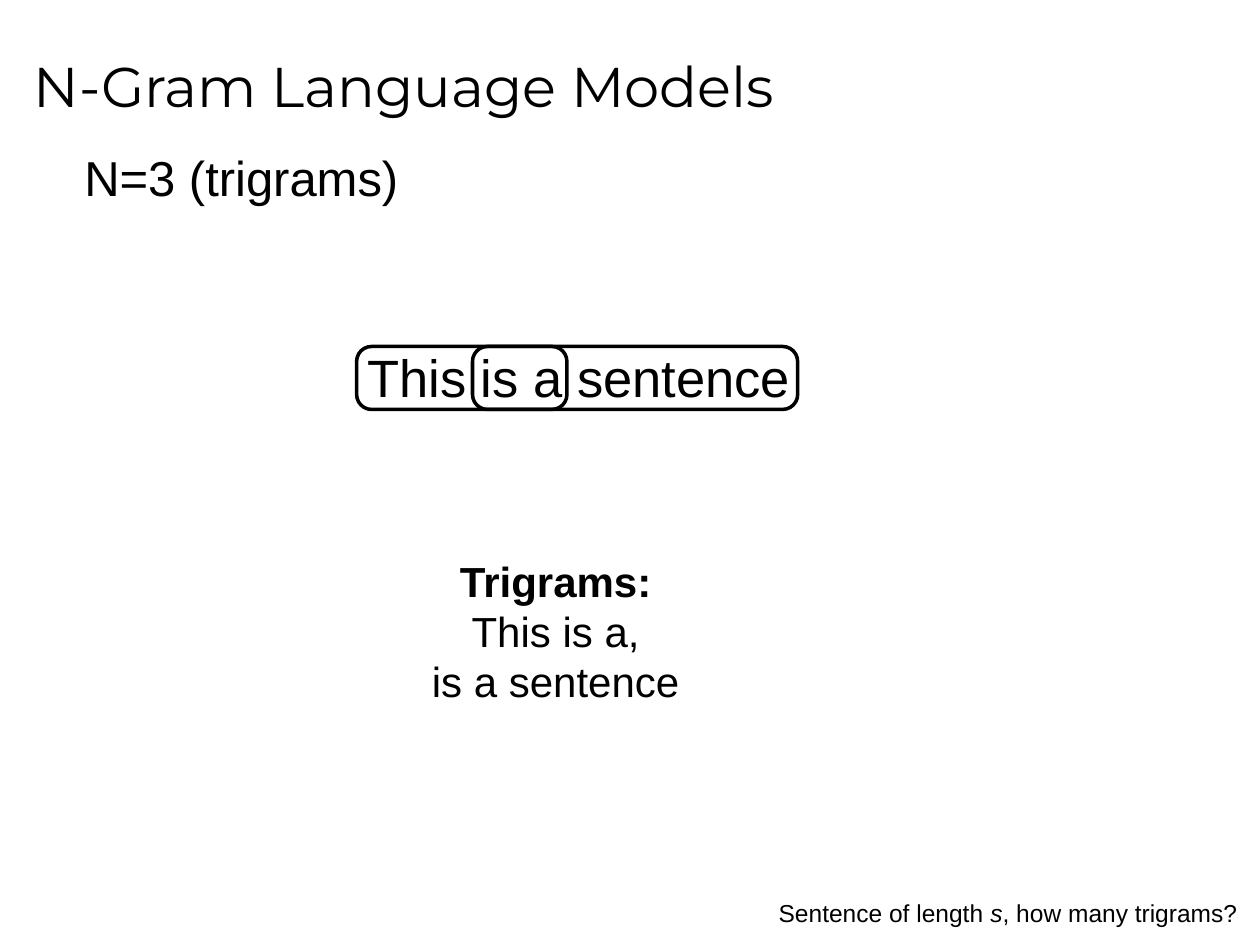
from dataclasses import dataclass

from pptx import Presentation
from pptx.dml.color import RGBColor
from pptx.enum.shapes import MSO_SHAPE
from pptx.enum.text import MSO_ANCHOR, PP_ALIGN
from pptx.util import Pt


@dataclass(frozen=True)
class Theme:
    ink: RGBColor = RGBColor(0, 0, 0)
    title_font: str = "Montserrat"
    body_font: str = "Arial"
    title_size: int = 32
    sentence_size: int = 30
    subtitle_size: int = 28
    list_size: int = 24
    question_size: int = 14
    outline_width: int = 2
    corner: float = 0.238


THEME = Theme()

# Each text is a list of paragraphs; each paragraph is a list of (text, style) runs.
TITLE = [[("N-Gram Language Models", "")]]
SUBTITLE = [[("N=3 (trigrams)", "")]]
SENTENCE = [[("This is a sentence", "")]]
TRIGRAMS = [
    [("Trigrams:", "bold")],
    [("This is a,", "")],
    [("is a sentence", "")],
]
QUESTION = [[("Sentence of length ", ""), ("s", "italic"), (", how many trigrams?", "")]]

# Left and right edges of the outline around each trigram.
TRIGRAM_SPANS = [(203.8, 324), (270, 455.8)]
OUTLINE_TOP, OUTLINE_HEIGHT = 198, 36


def add_text(slide, paragraphs, box, size, font=THEME.body_font, align=PP_ALIGN.LEFT,
             anchor=MSO_ANCHOR.MIDDLE, margins=(0, 0), wrap=False):
    """Add a text box; box is left, top, width, height and margins is side, top/bottom."""
    frame = slide.shapes.add_textbox(*map(Pt, box)).text_frame
    frame.word_wrap = wrap
    frame.vertical_anchor = anchor
    frame.margin_left = frame.margin_right = Pt(margins[0])
    frame.margin_top = frame.margin_bottom = Pt(margins[1])
    for index, runs in enumerate(paragraphs):
        paragraph = frame.add_paragraph() if index else frame.paragraphs[0]
        paragraph.alignment = align
        for text, style in runs:
            run = paragraph.add_run()
            run.text = text
            run.font.name = font
            run.font.size = Pt(size)
            run.font.color.rgb = THEME.ink
            run.font.bold = style == "bold"
            run.font.italic = style == "italic"


def add_outline(slide, left, right):
    shape = slide.shapes.add_shape(
        MSO_SHAPE.ROUNDED_RECTANGLE,
        Pt(left), Pt(OUTLINE_TOP), Pt(right - left), Pt(OUTLINE_HEIGHT))
    shape.adjustments[0] = THEME.corner
    shape.shadow.inherit = False
    shape.fill.background()
    shape.line.color.rgb = THEME.ink
    shape.line.width = Pt(THEME.outline_width)


def main():
    presentation = Presentation()
    presentation.slide_width, presentation.slide_height = Pt(720), Pt(540)
    slide = presentation.slides.add_slide(presentation.slide_layouts[6])

    add_text(slide, SENTENCE, (208.8, 197.3, 244, 36), THEME.sentence_size,
             align=PP_ALIGN.CENTER)
    for left, right in TRIGRAM_SPANS:
        add_outline(slide, left, right)
    add_text(slide, TITLE, (12.2, 8.6, 684, 80.6), THEME.title_size,
             font=THEME.title_font, margins=(7.2, 3.6), wrap=True)
    add_text(slide, TRIGRAMS, (246.2, 316.8, 142.6, 87.1), THEME.list_size,
             align=PP_ALIGN.CENTER)
    add_text(slide, SUBTITLE, (48.2, 84.2, 182.2, 33.8), THEME.subtitle_size)
    add_text(slide, QUESTION, (408.2, 509.8, 306, 24.5), THEME.question_size,
             align=PP_ALIGN.RIGHT, anchor=MSO_ANCHOR.TOP, margins=(7.2, 3.6), wrap=True)

    presentation.save("out.pptx")


if __name__ == "__main__":
    main()
